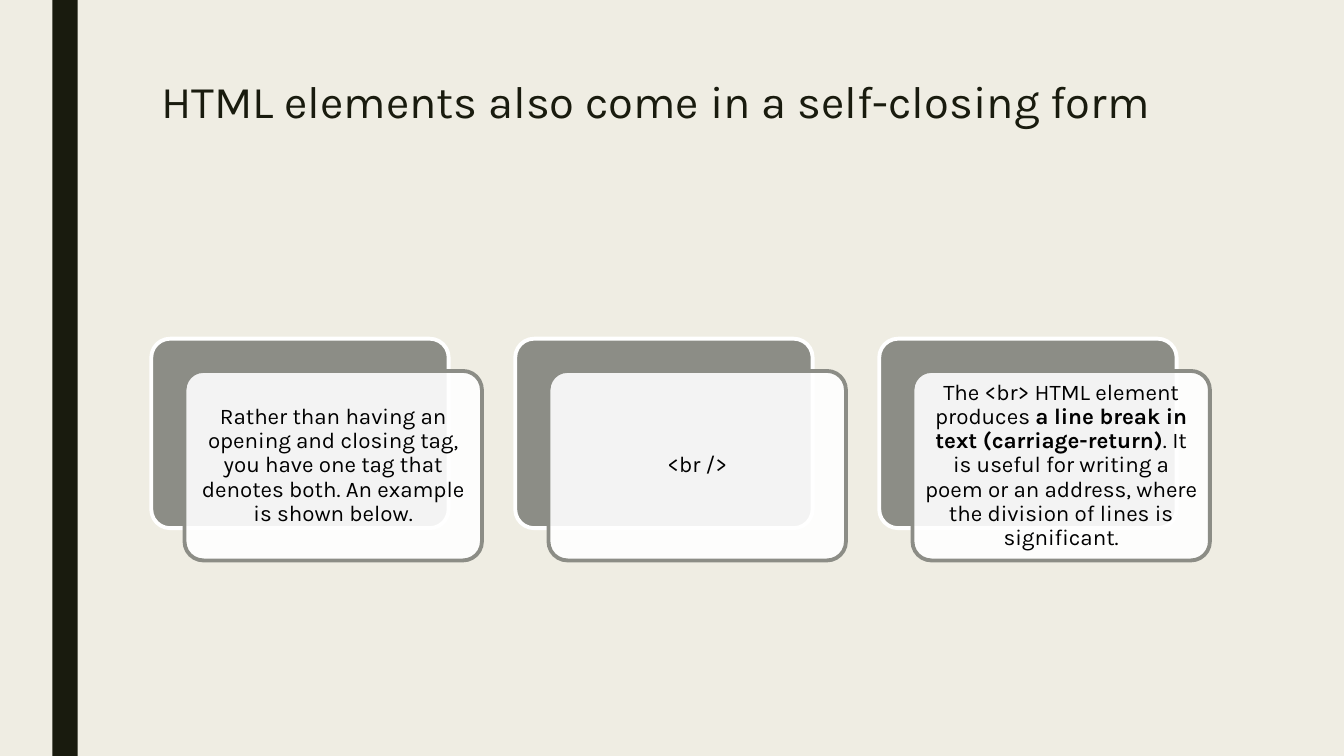
from lxml.etree import SubElement
from pptx import Presentation
from pptx.dml.color import RGBColor
from pptx.enum.shapes import MSO_SHAPE
from pptx.enum.text import MSO_ANCHOR, PP_ALIGN
from pptx.oxml.ns import qn
from pptx.util import Inches, Pt

CREAM = RGBColor(0xEF, 0xED, 0xE3)
DARK = RGBColor(0x19, 0x1B, 0x0E)
GRAY = RGBColor(0x8C, 0x8D, 0x86)
WHITE = RGBColor(0xFF, 0xFF, 0xFF)
BLACK = RGBColor(0x00, 0x00, 0x00)
FONT = "Karla"

# Each card is a list of (text, bold) runs
CARDS = [
    [("Rather than having an opening and closing tag, you have one tag "
      "that denotes both. An example is shown below.", False)],
    [("<br />", False)],
    [("The <br> HTML element produces ", False),
     ("a line break in text (carriage-return)", True),
     (". It is useful for writing a poem or an address, where the "
      "division of lines is significant.", False)],
]


def add_panel(left, top, fill, edge):
    panel = slide.shapes.add_shape(
        MSO_SHAPE.ROUNDED_RECTANGLE,
        Inches(left), Inches(top), Inches(2.95), Inches(1.88))
    panel.adjustments[0] = 0.1
    panel.shadow.inherit = False
    panel.fill.solid()
    panel.fill.fore_color.rgb = fill
    panel.line.color.rgb = edge
    panel.line.width = Pt(2.75)
    return panel


prs = Presentation()
prs.slide_width = Inches(13.33)
prs.slide_height = Inches(7.5)
slide = prs.slides.add_slide(prs.slide_layouts[6])
slide.background.fill.solid()
slide.background.fill.fore_color.rgb = CREAM

# Side bar
bar = slide.shapes.add_shape(
    MSO_SHAPE.RECTANGLE, Inches(0.52), 0, Inches(0.25), Inches(7.5))
bar.shadow.inherit = False
bar.fill.solid()
bar.fill.fore_color.rgb = DARK
bar.line.fill.background()

# Title
title = slide.shapes.add_textbox(
    Inches(1.5), Inches(0.75), Inches(10.5), Inches(0.57))
frame = title.text_frame
frame.word_wrap = True
frame.vertical_anchor = MSO_ANCHOR.MIDDLE
para = frame.paragraphs[0]
para.text = "HTML elements also come in a self-closing form"
para.line_spacing = 0.89
para.font.name = FONT
para.font.size = Pt(32.4)
para.font.color.rgb = DARK

# Cards: a gray panel behind a translucent white one with the text
for i, runs in enumerate(CARDS):
    left = 1.5 + i * 3.61
    add_panel(left, 3.36, GRAY, WHITE)
    front = add_panel(left + 0.33, 3.68, WHITE, GRAY)
    color = front.fill._xPr.find(qn("a:solidFill"))[0]
    SubElement(color, qn("a:alpha")).set("val", "90000")

    frame = front.text_frame
    frame.word_wrap = True
    frame.vertical_anchor = MSO_ANCHOR.MIDDLE
    frame.margin_left = frame.margin_right = Inches(0.07)
    frame.margin_top = frame.margin_bottom = Inches(0.07)
    para = frame.paragraphs[0]
    para.alignment = PP_ALIGN.CENTER
    para.line_spacing = 0.9
    para.font.name = FONT
    para.font.size = Pt(16)
    para.font.color.rgb = BLACK
    for text, bold in runs:
        run = para.add_run()
        run.text = text
        run.font.bold = bold

prs.save("out.pptx")
